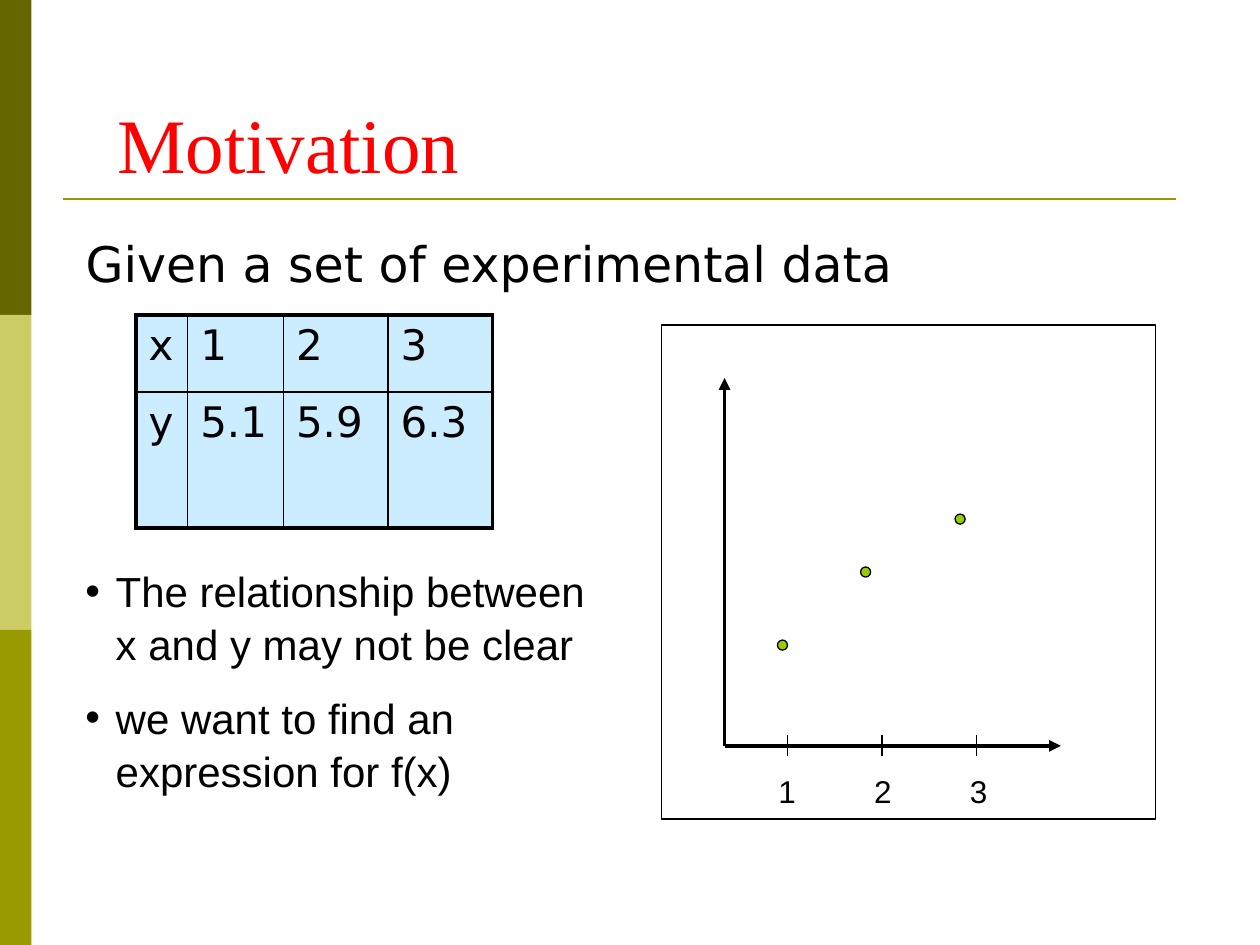
from lxml.etree import SubElement
from pptx import Presentation
from pptx.dml.color import RGBColor
from pptx.enum.shapes import MSO_CONNECTOR, MSO_SHAPE
from pptx.enum.text import MSO_ANCHOR, MSO_AUTO_SIZE, PP_ALIGN
from pptx.oxml.ns import qn
from pptx.util import Inches, Pt

BLACK = RGBColor(0x00, 0x00, 0x00)
RED = RGBColor(0xFF, 0x00, 0x00)
DARK_OLIVE = RGBColor(0x66, 0x66, 0x00)
PALE_OLIVE = RGBColor(0xCC, 0xCC, 0x66)
OLIVE = RGBColor(0x99, 0x99, 0x00)
PALE_BLUE = RGBColor(0xCC, 0xEC, 0xFF)
GREEN = RGBColor(0x99, 0xCC, 0x00)

presentation = Presentation()
presentation.slide_width = Inches(10)
presentation.slide_height = Inches(7.5)
slide = presentation.slides.add_slide(presentation.slide_layouts[1])
shapes = slide.shapes


def add_run(paragraph, text, size, font_name, color=BLACK):
    run = paragraph.add_run()
    run.text = text
    run.font.size = Pt(size)
    run.font.name = font_name
    run.font.color.rgb = color


def add_line(x1, y1, x2, y2, width, color=BLACK, arrow=False):
    connector = shapes.add_connector(
        MSO_CONNECTOR.STRAIGHT, Inches(x1), Inches(y1), Inches(x2), Inches(y2))
    connector.line.color.rgb = color
    connector.line.width = Pt(width)
    if arrow:
        SubElement(connector.line._get_or_add_ln(), qn("a:tailEnd"), type="triangle")
    SubElement(connector._element.spPr, qn("a:effectLst"))


# Side bar and title rule
for index, color in enumerate((DARK_OLIVE, PALE_OLIVE, OLIVE)):
    bar = shapes.add_shape(
        MSO_SHAPE.RECTANGLE, 0, Inches(2.5 * index), Inches(0.25), Inches(2.5))
    bar.shadow.inherit = False
    bar.fill.solid()
    bar.fill.fore_color.rgb = color
    bar.line.fill.background()
add_line(0.5, 1.58, 9.33, 1.58, 1.5, OLIVE)

# Title
title = shapes.title
title.left, title.top = Inches(0.83), Inches(0.3)
title.width, title.height = Inches(8.17), Inches(1.25)
title.text_frame.vertical_anchor = MSO_ANCHOR.BOTTOM
title.text_frame.auto_size = MSO_AUTO_SIZE.NONE
paragraph = title.text_frame.paragraphs[0]
paragraph.alignment = PP_ALIGN.LEFT
add_run(paragraph, "Motivation", 44, "Times New Roman", RED)

# Lead sentence
body = slide.placeholders[1]
body.left, body.top = Inches(0.58), Inches(1.8)
body.width, body.height = Inches(8.27), Inches(4.9)
body.text_frame.auto_size = MSO_AUTO_SIZE.NONE
paragraph = body.text_frame.paragraphs[0]
paragraph.space_before = Pt(0)
properties = paragraph._p.get_or_add_pPr()
properties.set("marL", str(Inches(0.38)))
properties.set("indent", str(Inches(-0.38)))
SubElement(properties, qn("a:buNone"))
add_run(paragraph, "Given a set of experimental data", 28, "DejaVu Sans")

# Data table with a heavy outer frame
rows = (("x", "1", "2", "3"), ("y", "5.1", "5.9", "6.3"))
column_widths = (0.41, 0.76, 0.83, 0.83)
row_heights = (0.61, 1.08)
table = shapes.add_table(
    len(rows), len(column_widths), Inches(1.08), Inches(2.5),
    Inches(sum(column_widths)), Inches(sum(row_heights))).table
table.first_row = table.horz_banding = False
for column, width in zip(table.columns, column_widths):
    column.width = Inches(width)
for row, height in zip(table.rows, row_heights):
    row.height = Inches(height)
for row_index, values in enumerate(rows):
    for column_index, value in enumerate(values):
        cell = table.cell(row_index, column_index)
        add_run(cell.text_frame.paragraphs[0], value, 24, "DejaVu Sans")
        outer_edges = {
            "a:lnL": column_index == 0,
            "a:lnR": column_index == len(values) - 1,
            "a:lnT": row_index == 0,
            "a:lnB": row_index == len(rows) - 1,
        }
        for edge, is_outer in outer_edges.items():
            border = SubElement(cell._tc.get_or_add_tcPr(), qn(edge),
                                w=str(Pt(2.25 if is_outer else 1)))
            border_fill = SubElement(border, qn("a:solidFill"))
            SubElement(border_fill, qn("a:srgbClr"), val=str(BLACK))
        cell.fill.solid()
        cell.fill.fore_color.rgb = PALE_BLUE

# Bulleted remarks
remarks = shapes.add_textbox(Inches(0.58), Inches(4.42), Inches(4.33), Inches(1.9))
frame = remarks.text_frame
frame.word_wrap = True
for index, text in enumerate(("The relationship between x and y may not be clear",
                              "we want to find an expression for f(x)")):
    paragraph = frame.add_paragraph() if index else frame.paragraphs[0]
    paragraph.line_spacing = 1.05
    paragraph.space_before = Pt(12 if index else 0)
    properties = paragraph._p.get_or_add_pPr()
    properties.set("marL", str(Inches(0.24)))
    properties.set("indent", str(Inches(-0.24)))
    SubElement(properties, qn("a:buFont"), typeface="Arial")
    SubElement(properties, qn("a:buChar"), char="•")
    add_run(paragraph, text, 24, "Arial")

# Plot frame
plot_frame = shapes.add_shape(
    MSO_SHAPE.RECTANGLE, Inches(5.25), Inches(2.58), Inches(3.92), Inches(3.92))
plot_frame.shadow.inherit = False
plot_frame.fill.background()
plot_frame.line.color.rgb = BLACK
plot_frame.line.width = Pt(0.75)

# Axes and tick marks
add_line(5.75, 5.92, 5.75, 3, 2.25, arrow=True)
add_line(5.75, 5.92, 8.42, 5.92, 2.25, arrow=True)
for tick_x in (6.25, 7, 7.75):
    add_line(tick_x, 5.83, tick_x, 6, 0.75)

# Tick labels on evenly spaced tab stops
tick_labels = shapes.add_textbox(Inches(6.08), Inches(6.08), Inches(2.33), Inches(0.4))
tick_labels.text_frame.word_wrap = True
paragraph = tick_labels.text_frame.paragraphs[0]
tab_list = SubElement(paragraph._p.get_or_add_pPr(), qn("a:tabLst"))
for step in (1, 2):
    SubElement(tab_list, qn("a:tab"), pos=str(Inches(0.76 * step)), algn="l")
add_run(paragraph, "1\t2\t3", 18, "Arial")

# Data points
for left, top in ((6.17, 5.08), (6.83, 4.5), (7.58, 4.08)):
    point = shapes.add_shape(
        MSO_SHAPE.OVAL, Inches(left), Inches(top), Inches(0.08), Inches(0.08))
    point.shadow.inherit = False
    point.fill.solid()
    point.fill.fore_color.rgb = GREEN
    point.line.color.rgb = BLACK
    point.line.width = Pt(0.75)

presentation.save("out.pptx")
